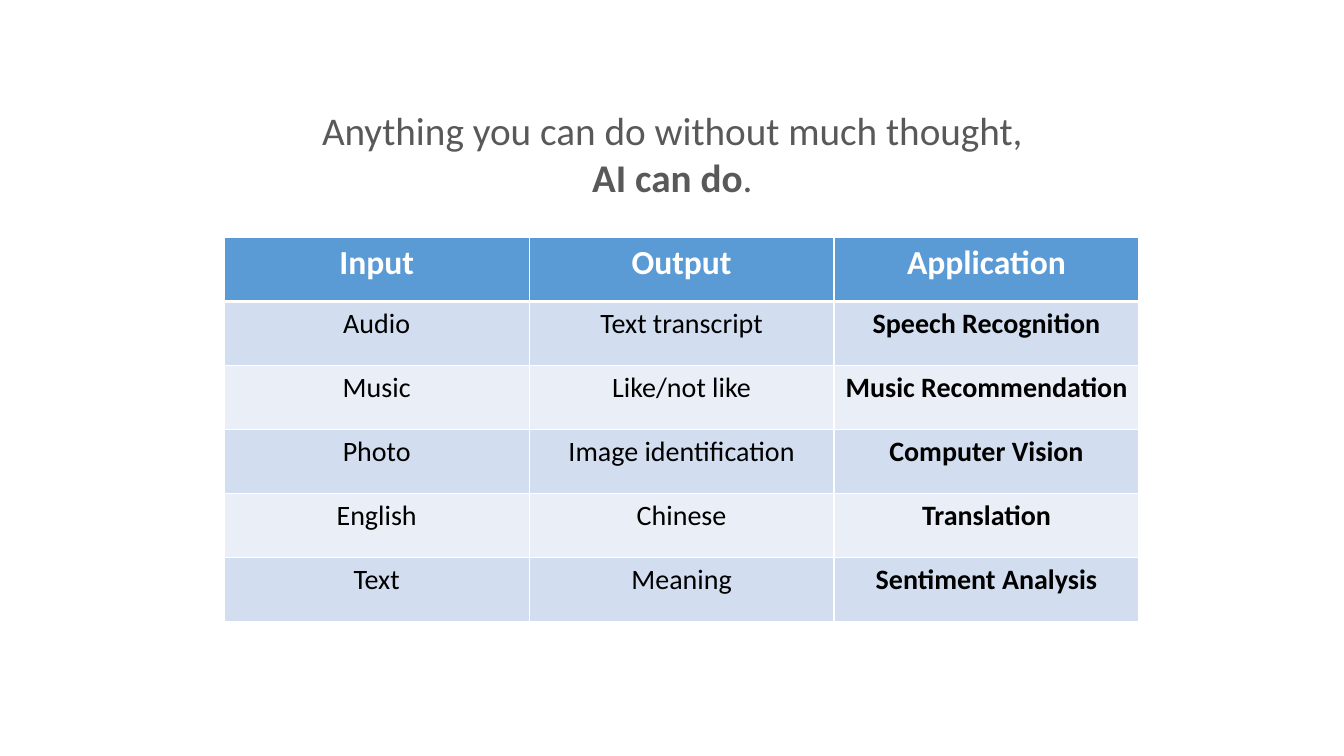
from lxml.etree import SubElement
from pptx import Presentation
from pptx.dml.color import RGBColor
from pptx.enum.text import MSO_ANCHOR as Anchor, MSO_AUTO_SIZE as AutoSize, PP_ALIGN as Align
from pptx.oxml.ns import qn
from pptx.util import Pt

WHITE, BLACK, GREY = "FFFFFF", "000000", "595959"
HEADER_BLUE, BANDS = "5B9BD5", ("D2DEEF", "EAEFF7")

HEADLINE = [
    [("Anything you can do without much thought,", False)],
    [("AI can do", True), (".", False)],
]
APPLICATIONS = [
    ("Input", "Output", "Application"),
    ("Audio", "Text transcript", "Speech Recognition"),
    ("Music", "Like/not like", "Music Recommendation"),
    ("Photo", "Image identification", "Computer Vision"),
    ("English", "Chinese", "Translation"),
    ("Text", "Meaning", "Sentiment Analysis"),
]


def rgb(color):
    return RGBColor.from_string(color)


def set_attributes(target, values):
    for name, value in values.items():
        setattr(target, name, value)


def add_run(paragraph, text, size, color, bold):
    paragraph.alignment = Align.CENTER
    run = paragraph.add_run()
    run.text = text
    set_attributes(run.font, {"name": "Calibri", "size": Pt(size), "bold": bold})
    run.font.color.rgb = rgb(color)


def write_headline(title):
    set_attributes(title, {"left": Pt(219.6), "top": Pt(72),
                           "width": Pt(521.3), "height": Pt(75)})
    frame = title.text_frame
    set_attributes(frame, {"word_wrap": False, "auto_size": AutoSize.SHAPE_TO_FIT_TEXT,
                           "vertical_anchor": Anchor.TOP})
    for index, line in enumerate(HEADLINE):
        paragraph = frame.add_paragraph() if index else frame.paragraphs[0]
        for text, bold in line:
            add_run(paragraph, text, 28, GREY, bold)


def add_borders(cell, widths):
    properties = cell._tc.get_or_add_tcPr()
    for side, width in widths.items():
        border = SubElement(properties, qn(f"a:ln{side}"), w=str(Pt(width)))
        fill = SubElement(border, qn("a:solidFill"))
        SubElement(fill, qn("a:srgbClr"), val=WHITE)


def format_cell(cell, text, row, column):
    header = row == 0
    # Borders come before the fill in the cell properties
    add_borders(cell, {"L": 1, "R": 1, "T": 3 if row == 1 else 1, "B": 3 if header else 1})
    cell.fill.solid()
    cell.fill.fore_color.rgb = rgb(HEADER_BLUE if header else BANDS[(row - 1) % 2])
    add_run(cell.text_frame.paragraphs[0], text, 24 if header else 20,
            WHITE if header else BLACK, header or column == 2)


def add_applications(slide):
    rows, columns = len(APPLICATIONS), len(APPLICATIONS[0])
    table = slide.shapes.add_table(rows, columns, Pt(160.2), Pt(169.5),
                                   Pt(653.4), Pt(274.8)).table
    for row, texts in enumerate(APPLICATIONS):
        for column, text in enumerate(texts):
            format_cell(table.cell(row, column), text, row, column)


def main():
    deck = Presentation()
    set_attributes(deck, {"slide_width": Pt(960), "slide_height": Pt(540)})
    slide = deck.slides.add_slide(deck.slide_layouts[5])
    # Headline
    write_headline(slide.shapes.title)
    # Table of inputs, outputs and applications
    add_applications(slide)
    deck.save("out.pptx")


if __name__ == "__main__":
    main()
